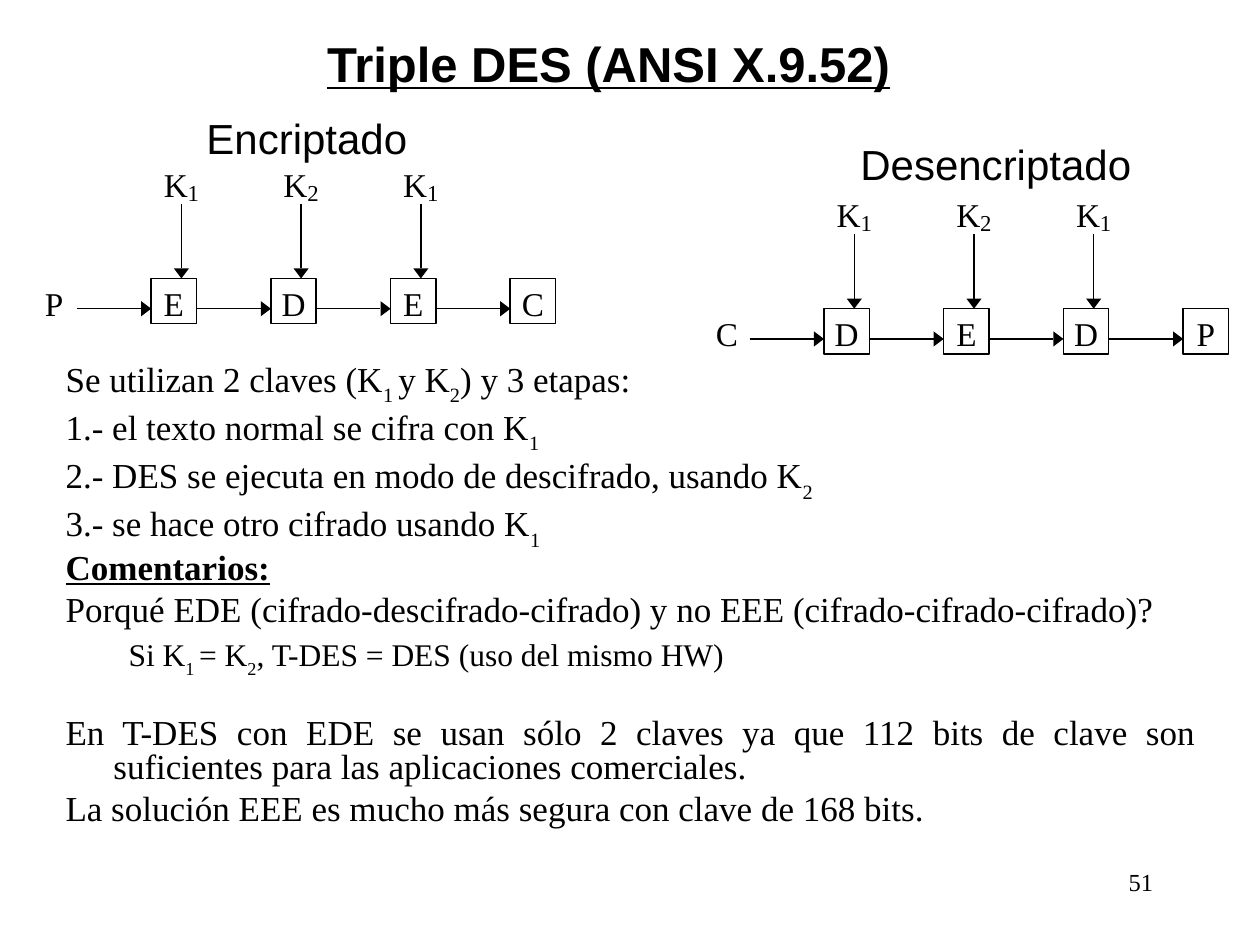
"""Build the Triple DES slide with its two cipher chains."""
from dataclasses import dataclass

from lxml.etree import SubElement
from pptx import Presentation
from pptx.dml.color import RGBColor
from pptx.enum.shapes import MSO_CONNECTOR as Connector, MSO_SHAPE as Shape
from pptx.enum.text import MSO_ANCHOR as Anchor, MSO_AUTO_SIZE as AutoSize, PP_ALIGN as Align
from pptx.oxml.ns import qn
from pptx.util import Inches, Pt


@dataclass(frozen=True)
class Theme:
    """Colours, fonts and sizes of the slide."""
    ink: RGBColor = RGBColor(0, 0, 0)
    paper: RGBColor = RGBColor(255, 255, 255)
    sans: str = "Arial"
    serif: str = "Times New Roman"
    title: float = 28
    heading: float = 24
    body: float = 20
    detail: float = 18
    symbol: float = 19
    index: float = 13
    number: float = 14
    stroke: float = 0.88


THEME = Theme()
PITCH = 0.95
BOX = 0.36
HEAD_LENGTH, HEAD_HALF = 0.08, 0.06
FLOW = 0.24

STATEMENTS = [
    ("Se utilizan 2 claves (K~1 ~y K~2~) y 3 etapas:", {}),
    ("1.- el texto normal se cifra con K~1", {}),
    ("2.- DES se ejecuta en modo de descifrado, usando K~2", {}),
    ("3.- se hace otro cifrado usando K~1", {}),
    ("Comentarios:", {"bold": True, "underline": True}),
    ("Porqué EDE (cifrado-descifrado-cifrado) y no EEE (cifrado-cifrado-cifrado)?", {}),
    ("Si K~1 ~= K~2~, T-DES = DES (uso del mismo HW)",
     {"level": 1, "size": THEME.detail, "before": 4.5, "hanging": (0.81, 0.31)}),
    ("En T-DES con EDE se usan sólo 2 claves ya que 112 bits de clave son "
     "suficientes para las aplicaciones comerciales.", {"before": 26}),
    ("La solución EEE es mucho más segura con clave de 168 bits.", {}),
]


def write(paragraph, text, size, font=THEME.serif, align=Align.LEFT, bold=False,
          underline=False, level=0, before=0, spacing=None, hanging=None):
    """Fill a paragraph, lowering every second part between tildes."""
    paragraph.alignment, paragraph.level = align, level
    paragraph.space_before = Pt(before)
    if spacing:
        paragraph.line_spacing = spacing
    if hanging:
        properties = paragraph._p.get_or_add_pPr()
        properties.set("marL", str(Inches(hanging[0])))
        properties.set("indent", str(-Inches(hanging[1])))
        SubElement(properties, qn("a:buNone"))
    for order, part in enumerate(text.split("~")):
        if not part:
            continue
        run = paragraph.add_run()
        run.text = part
        run.font.name, run.font.size = font, Pt(size)
        run.font.bold, run.font.underline = bold, underline
        run.font.color.rgb = THEME.ink
        if order % 2:
            run.font._element.set("baseline", "-30000")


def place(item, left, top, width, height):
    """Move and size an item in inches."""
    item.left, item.top = Inches(left), Inches(top)
    item.width, item.height = Inches(width), Inches(height)


def set_margins(frame, side, top):
    """Set wrapping, top anchoring and insets of a text frame."""
    frame.word_wrap, frame.vertical_anchor = True, Anchor.TOP
    frame.margin_left = frame.margin_right = Inches(side)
    frame.margin_top = frame.margin_bottom = Inches(top)


def add_label(slide, text, left, top, width, height, size, side=0, inset=0, **style):
    """Add a text box with one paragraph."""
    frame = slide.shapes.add_textbox(*map(Inches, (left, top, width, height))).text_frame
    set_margins(frame, side, inset)
    write(frame.paragraphs[0], text, size, **style)


def add_stage(slide, letter, left, top):
    """Add an outlined square holding one letter."""
    stage = slide.shapes.add_shape(Shape.RECTANGLE, *map(Inches, (left, top, BOX, BOX)))
    stage.shadow.inherit = False
    stage.fill.solid()
    stage.fill.fore_color.rgb = THEME.paper
    stage.line.color.rgb, stage.line.width = THEME.ink, Pt(THEME.stroke)
    set_margins(stage.text_frame, 0, 0.04)
    stage.text_frame.margin_bottom = 0
    write(stage.text_frame.paragraphs[0], letter, THEME.symbol, align=Align.CENTER)


def add_arrow(slide, start, tip):
    """Add a right or down arrow with a solid triangular head."""
    (x, y), across = tip, start[1] == tip[1]
    if across:
        neck = (x - HEAD_LENGTH, y)
        corners = [(neck[0], y + HEAD_HALF), tip, (neck[0], y - HEAD_HALF)]
    else:
        neck = (x, y - HEAD_LENGTH)
        corners = [(x - HEAD_HALF, neck[1]), tip, (x + HEAD_HALF, neck[1])]
    shaft = slide.shapes.add_connector(Connector.STRAIGHT, *map(Inches, start + neck))
    shaft.line.color.rgb, shaft.line.width = THEME.ink, Pt(THEME.stroke)
    SubElement(shaft._element.spPr, qn("a:effectLst"))
    points = [tuple(map(Inches, corner)) for corner in corners]
    builder = slide.shapes.build_freeform(*points[0])
    builder.add_line_segments(points[1:], close=True)
    head = builder.convert_to_shape()
    head.shadow.inherit = False
    head.fill.solid()
    head.fill.fore_color.rgb = THEME.ink
    head.line.fill.background()


def add_chain(slide, letters, left, top):
    """Add the entry letter, the squares, their keys and the arrows."""
    columns = [left + PITCH * column for column in range(len(letters))]
    key_top = top - PITCH
    add_label(slide, letters[0], left, top + 0.04, BOX, 0.32, THEME.symbol, align=Align.CENTER)
    for letter, column in zip(letters[1:], columns[1:]):
        add_stage(slide, letter, column, top)
        add_arrow(slide, (column - PITCH + BOX, top + FLOW), (column, top + FLOW))
    for index, column in zip("121", columns[1:]):
        add_label(slide, "K", column + 0.1, key_top + 0.04, 0.2, 0.32, THEME.symbol)
        add_label(slide, index, column + 0.29, key_top + 0.16, 0.1, 0.22, THEME.index)
        add_arrow(slide, (column + FLOW, key_top + BOX), (column + FLOW, top))


def add_heading(slide, text, left, top, width):
    """Add the heading of a chain."""
    add_label(slide, text, left, top, width, 0.5, THEME.heading, 0.1, 0.05, font=THEME.sans)


def fill_title(title, text):
    """Place and write the title."""
    place(title, 0.58, 0, 8.5, 1)
    title.text_frame.auto_size = AutoSize.NONE
    title.text_frame.vertical_anchor = Anchor.MIDDLE
    write(title.text_frame.paragraphs[0], text, THEME.title, font=THEME.sans,
          align=Align.CENTER, bold=True, underline=True)


def fill_body(body, statements):
    """Place the body and write its statements."""
    place(body, 0.42, 2.81, 9.17, 4.01)
    frame = body.text_frame
    frame.auto_size = AutoSize.NONE
    common = {"size": THEME.body, "before": 5, "spacing": 0.8,
              "hanging": (0.38, 0.38), "align": Align.JUSTIFY}
    for order, (text, style) in enumerate(statements):
        paragraph = frame.add_paragraph() if order else frame.paragraphs[0]
        first = {} if order else {"before": 0}
        write(paragraph, text, **{**common, **style, **first})


def main():
    """Build and save the slide."""
    deck = Presentation()
    deck.slide_width, deck.slide_height = Inches(10), Inches(7.5)
    slide = deck.slides.add_slide(deck.slide_layouts[1])
    fill_title(slide.shapes.title, "Triple DES (ANSI X.9.52)")
    fill_body(slide.placeholders[1], STATEMENTS)
    add_chain(slide, "PEDEC", 0.25, 2.21)
    add_heading(slide, "Encriptado", 1.54, 0.84, 1.89)
    add_chain(slide, "CDEDP", 5.59, 2.45)
    add_heading(slide, "Desencriptado", 6.73, 1.05, 2.44)
    add_label(slide, "51", 7.17, 6.83, 2.08, 0.5, THEME.number, 0.1, 0.05, align=Align.RIGHT)
    deck.save("out.pptx")


if __name__ == "__main__":
    main()
